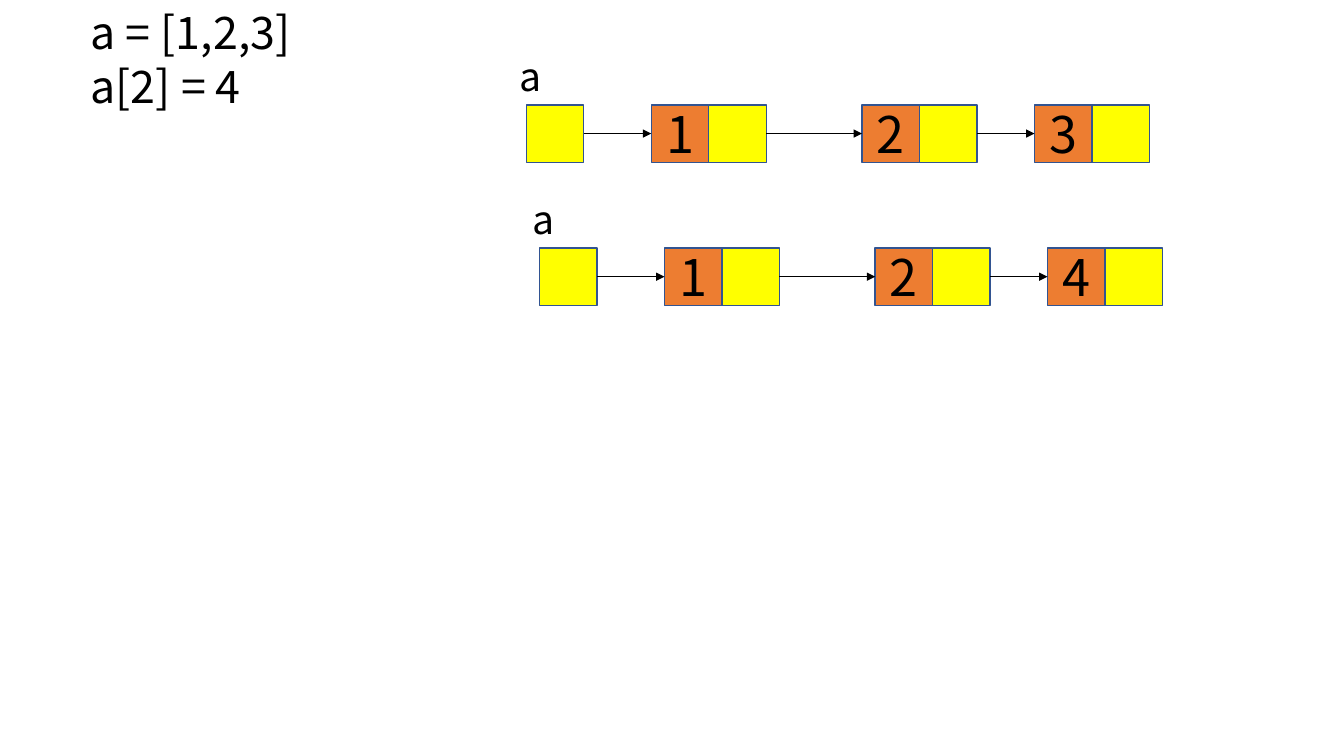
from dataclasses import dataclass

from lxml import etree
from pptx import Presentation
from pptx.dml.color import RGBColor
from pptx.enum.shapes import MSO_CONNECTOR, MSO_SHAPE
from pptx.enum.text import MSO_ANCHOR, MSO_AUTO_SIZE, PP_ALIGN
from pptx.oxml.ns import qn
from pptx.util import Inches, Pt

RECTANGLE = MSO_SHAPE.RECTANGLE
STRAIGHT = MSO_CONNECTOR.STRAIGHT
MIDDLE = MSO_ANCHOR.MIDDLE
FIT_SHAPE = MSO_AUTO_SIZE.SHAPE_TO_FIT_TEXT
CENTER = PP_ALIGN.CENTER

CELL = 0.57
NODE_OFFSETS = (1.24, 3.33, 5.04)  # node positions, measured from the head cell


@dataclass(frozen=True)
class Theme:
    font: str = "Noto Sans CJK KR"
    text: RGBColor = RGBColor(0x00, 0x00, 0x00)
    pointer: RGBColor = RGBColor(0xFF, 0xFF, 0x00)
    value: RGBColor = RGBColor(0xED, 0x7D, 0x31)
    outline: RGBColor = RGBColor(0x32, 0x54, 0x91)
    code_size: Pt = Pt(32)
    label_size: Pt = Pt(28)
    value_size: Pt = Pt(36)


THEME = Theme()


def style_text(paragraph, size):
    paragraph.font.name = THEME.font
    paragraph.font.size = size
    paragraph.font.color.rgb = THEME.text


def add_text(slide, left, top, width, height, lines, size):
    box = slide.shapes.add_textbox(Inches(left), Inches(top), Inches(width), Inches(height))
    frame = box.text_frame
    frame.word_wrap = False
    frame.auto_size = FIT_SHAPE
    frame.text = "\n".join(lines)
    for paragraph in frame.paragraphs:
        style_text(paragraph, size)


def add_cell(slide, left, top, fill, value=""):
    cell = slide.shapes.add_shape(RECTANGLE, Inches(left), Inches(top), Inches(CELL), Inches(CELL))
    cell.shadow.inherit = False
    cell.fill.solid()
    cell.fill.fore_color.rgb = fill
    cell.line.color.rgb = THEME.outline
    cell.line.width = Pt(1)
    if value:
        frame = cell.text_frame
        frame.text = value
        frame.vertical_anchor = MIDDLE
        frame.paragraphs[0].alignment = CENTER
        style_text(frame.paragraphs[0], THEME.value_size)


def add_arrow(slide, start, end, y):
    arrow = slide.shapes.add_connector(STRAIGHT, Inches(start), Inches(y), Inches(end), Inches(y))
    arrow.line.color.rgb = THEME.text
    arrow.line.width = Pt(0.5)
    etree.SubElement(arrow.line._get_or_add_ln(), qn("a:tailEnd"), type="triangle")
    etree.SubElement(arrow._element.spPr, qn("a:effectLst"))


def add_linked_list(slide, left, top, name, values):
    """Draw a named head cell followed by value/pointer nodes joined by arrows."""
    add_text(slide, left - 0.17, top - CELL, 0.42, CELL, [name], THEME.label_size)
    add_cell(slide, left, top, THEME.pointer)
    previous_end = left + CELL
    for offset, value in zip(NODE_OFFSETS, values):
        node = left + offset
        add_cell(slide, node, top, THEME.value, value)
        add_cell(slide, node + CELL, top, THEME.pointer)
        add_arrow(slide, previous_end, node, top + CELL / 2)
        previous_end = node + 2 * CELL


def main():
    deck = Presentation()
    deck.slide_width = Inches(13.33)
    deck.slide_height = Inches(7.5)
    slide = deck.slides.add_slide(deck.slide_layouts[6])
    add_text(slide, 0.8, 0, 2.28, 1.18, ["a = [1,2,3]", "a[2] = 4"], THEME.code_size)
    add_linked_list(slide, 5.22, 1.04, "a", "123")
    add_linked_list(slide, 5.35, 2.46, "a", "124")
    deck.save("out.pptx")


if __name__ == "__main__":
    main()
